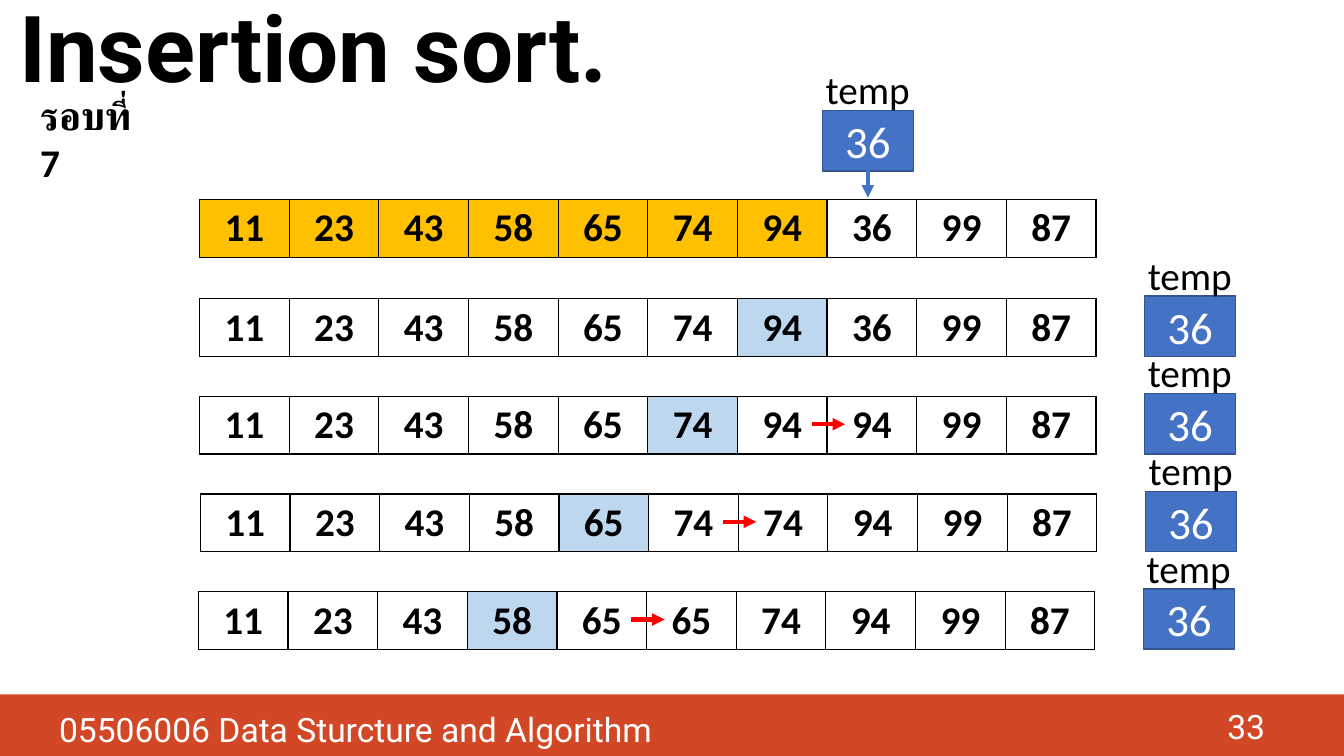
from lxml import etree
from pptx import Presentation
from pptx.dml.color import RGBColor
from pptx.enum.shapes import MSO_CONNECTOR, MSO_SHAPE
from pptx.enum.text import MSO_ANCHOR, PP_ALIGN
from pptx.oxml.ns import qn
from pptx.util import Cm, Pt

LEFT, CENTER, RIGHT = PP_ALIGN.LEFT, PP_ALIGN.CENTER, PP_ALIGN.RIGHT
TOP, MIDDLE = MSO_ANCHOR.TOP, MSO_ANCHOR.MIDDLE
RECT = MSO_SHAPE.RECTANGLE
STRAIGHT = MSO_CONNECTOR.STRAIGHT

COLORS = {
    "black": "000000", "white": "FFFFFF", "band": "D24726",
    "blue": "4472C4", "edge": "325491", "gold": "FFC000",
    "pale": "BDD7EE", "red": "FF0000",
}
CELL_W, CELL_H = 2.26, 1.45
BOX_W, BOX_H = 2.29, 1.52
SORTED = 7
START = [11, 23, 43, 58, 65, 74, 94, 36, 99, 87]
STEPS = [
    (5.03, 6, START),
    (5.03, 5, [11, 23, 43, 58, 65, 74, 94, 94, 99, 87]),
    (5.05, 4, [11, 23, 43, 58, 65, 74, 74, 94, 99, 87]),
    (5.0, 3, [11, 23, 43, 58, 65, 65, 74, 94, 99, 87]),
]


def tint(name):
    return RGBColor.from_string(COLORS[name])


class Deck:
    def __init__(self):
        self.file = Presentation()
        self.file.slide_width = Cm(33.87)
        self.file.slide_height = Cm(19.05)
        self.slide = self.file.slides.add_slide(self.file.slide_layouts[5])
        self.shapes = self.slide.shapes

    def label(self, frame, text, size, color="black", font="Calibri",
              bold=False, align=LEFT, anchor=MIDDLE):
        frame.text = text
        frame.word_wrap = True
        frame.vertical_anchor = anchor
        para = frame.paragraphs[0]
        para.alignment = align
        para.font.size = Pt(size)
        para.font.name = font
        para.font.bold = bold
        para.font.color.rgb = tint(color)
        return para

    def title(self, text, x, y, w, h):
        holder = self.shapes.title
        holder.left, holder.top = Cm(x), Cm(y)
        holder.width, holder.height = Cm(w), Cm(h)
        para = self.label(holder.text_frame, text, 66, font="Roboto", bold=True)
        para.line_spacing = 0.9

    def text(self, text, x, y, w, h, size, **style):
        box = self.shapes.add_textbox(Cm(x), Cm(y), Cm(w), Cm(h))
        self.label(box.text_frame, text, size, **style)

    def rect(self, x, y, w, h, fill, edge=None):
        shape = self.shapes.add_shape(RECT, Cm(x), Cm(y), Cm(w), Cm(h))
        shape.shadow.inherit = False
        shape.fill.solid()
        shape.fill.fore_color.rgb = tint(fill)
        if edge:
            shape.line.color.rgb = tint(edge)
            shape.line.width = Pt(1)
        else:
            shape.line.fill.background()
        return shape

    def temp(self, x, y, value):
        box = self.rect(x, y, BOX_W, BOX_H, "blue", "edge")
        self.label(box.text_frame, value, 32, "white", align=CENTER)
        self.text("temp", x - 0.63, y - 1.19, 3.53, 1.3, 28, align=CENTER)

    def arrow(self, x1, y1, x2, y2, color):
        link = self.shapes.add_connector(STRAIGHT, Cm(x1), Cm(y1), Cm(x2), Cm(y2))
        link.line.color.rgb = tint(color)
        link.line.width = Pt(3)
        props = link._element.spPr
        etree.SubElement(props.find(qn("a:ln")), qn("a:tailEnd"), type="triangle")
        etree.SubElement(props, qn("a:effectLst"))

    def border(self, cell):
        props = cell._tc.get_or_add_tcPr()
        for side in ("a:lnL", "a:lnR", "a:lnT", "a:lnB"):
            line = etree.SubElement(props, qn(side), w=str(int(Pt(1))))
            fill = etree.SubElement(line, qn("a:solidFill"))
            etree.SubElement(fill, qn("a:srgbClr"), val=COLORS["black"])

    def array(self, x, y, values, marked, mark):
        count = len(values)
        frame = self.shapes.add_table(
            1, count, Cm(x), Cm(y), Cm(CELL_W * count), Cm(CELL_H))
        table = frame.table
        table.first_row = table.horz_banding = False
        table.rows[0].height = Cm(CELL_H)
        for i, value in enumerate(values):
            table.columns[i].width = Cm(CELL_W)
            cell = table.cell(0, i)
            self.border(cell)
            cell.fill.solid()
            cell.fill.fore_color.rgb = tint(mark if i in marked else "white")
            self.label(cell.text_frame, str(value), 28, bold=True, align=CENTER)
            cell.vertical_anchor = MIDDLE


def main():
    deck = Deck()
    deck.title("Insertion sort.", 0.23, -0.28, 31.19, 3.23)
    deck.rect(0, 17.5, 33.87, 1.55, "band")
    deck.text("05506006 Data Sturcture and Algorithm", 1.24, 17.73, 29.16, 1.68,
              24, color="white", font="Roboto", anchor=TOP)
    deck.text("33", 24.51, 17.78, 7.62, 1.02, 24, color="white",
              font="Roboto", align=RIGHT)
    deck.text("รอบที่ 7", 0.76, 2.18, 3.12, 1.45, 28, bold=True, anchor=TOP)

    deck.temp(20.73, 2.79, "36")
    deck.arrow(21.87, 3.89, 21.87, 4.98, "blue")
    deck.array(5.03, 5.03, START, range(SORTED), "gold")

    for i, (x, key, values) in enumerate(STEPS):
        y = 7.53 + 2.46 * i
        deck.array(x, y, values, [key], "pale")
        deck.temp(x + 23.82, y - 0.07, "36")
        if i:
            start = x + CELL_W * (key + 2) - 0.39
            deck.arrow(start, y + 0.7, start + 0.84, y + 0.7, "red")

    deck.file.save("out.pptx")


if __name__ == "__main__":
    main()
